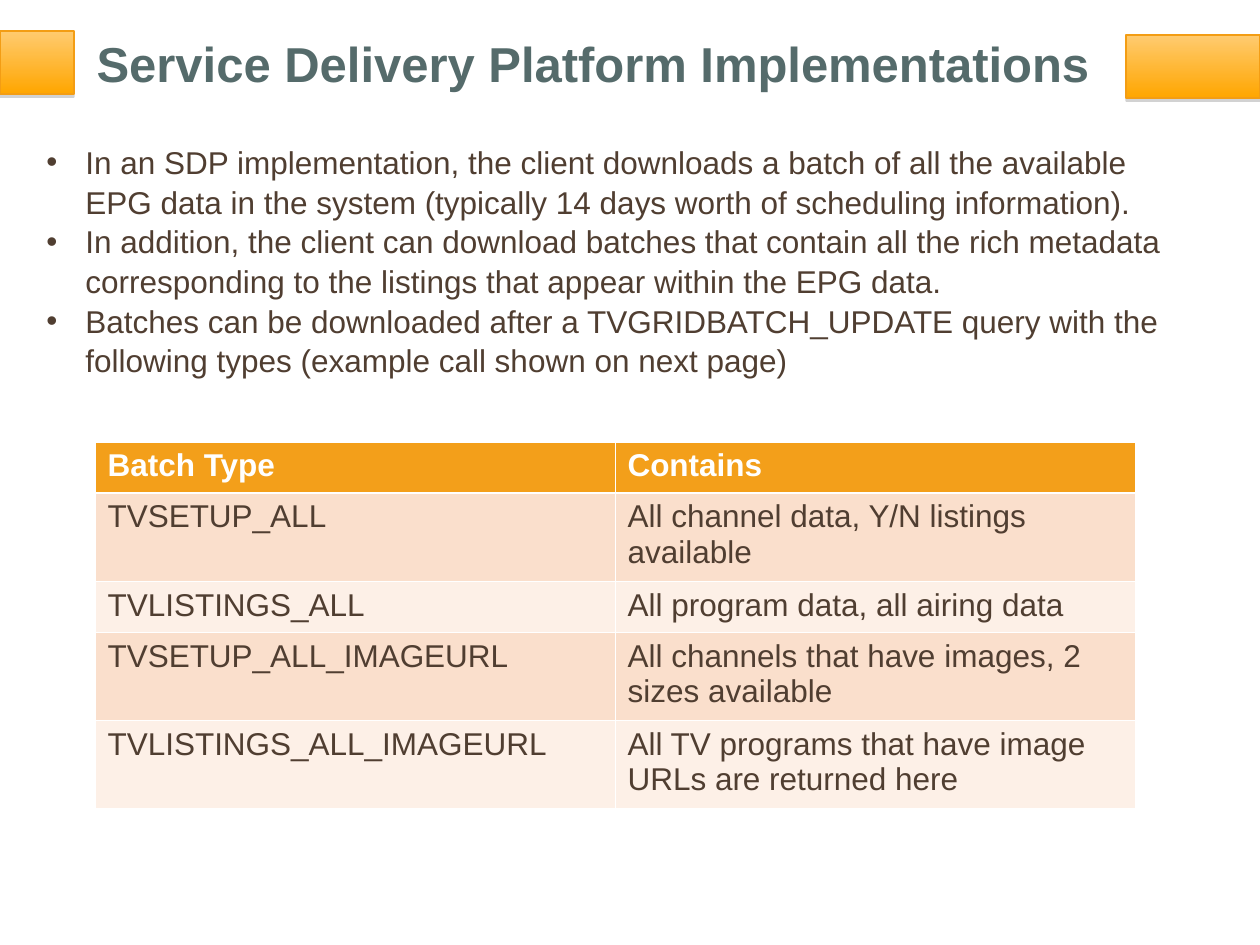
from dataclasses import dataclass

from lxml import etree
from pptx import Presentation
from pptx.dml.color import RGBColor
from pptx.enum.shapes import MSO_SHAPE
from pptx.enum.text import MSO_ANCHOR, MSO_AUTO_SIZE, PP_ALIGN
from pptx.oxml import parse_xml
from pptx.oxml.ns import nsdecls, qn
from pptx.util import Emu, Inches, Pt

PX_PER_INCH = 126
RECTANGLE = MSO_SHAPE.RECTANGLE
TOP = MSO_ANCHOR.TOP
NO_AUTOFIT = MSO_AUTO_SIZE.NONE
LEFT = PP_ALIGN.LEFT


@dataclass(frozen=True)
class Theme:
    font: str = "Arial"
    title_size: int = 28
    body_size: int = 18
    title: str = "556B6B"
    body: str = "503E31"
    white: str = "FFFFFF"
    header: str = "F39F1A"
    bands: tuple = ("FADFCC", "FDF0E7")
    accent_line: str = "F39D14"
    accent_gradient: tuple = ("FFCB70", "FFA600")
    shadow: str = "808080"
    thin: float = 0.45
    thick: float = 1.47


def px(length):
    return Emu(round(length * 914400 / PX_PER_INCH))


def assign(target, values):
    for name, value in values.items():
        setattr(target, name, value)


class SlideBuilder:
    def __init__(self, slide, theme):
        self.slide = slide
        self.theme = theme

    def add_text(self, paragraph, text, size, color, bold=False):
        run = paragraph.add_run()
        run.text = text
        assign(run.font, {"name": self.theme.font, "size": Pt(size), "bold": bold})
        run.font.color.rgb = RGBColor.from_string(color)

    def title(self, text, left, top, width, height):
        heading = self.slide.shapes.title
        assign(heading, {"left": px(left), "top": px(top),
                         "width": px(width), "height": px(height)})
        frame = heading.text_frame
        assign(frame, {"vertical_anchor": TOP, "auto_size": NO_AUTOFIT, "word_wrap": True})
        paragraph = frame.paragraphs[0]
        paragraph.alignment = LEFT
        self.add_text(paragraph, text, self.theme.title_size, self.theme.title, True)

    def accent(self, left, top, width, height):
        block = self.slide.shapes.add_shape(
            RECTANGLE, px(left), px(top), px(width), px(height))
        block.fill.gradient()
        block.fill.gradient_angle = 270
        stops = zip(block.fill.gradient_stops, self.theme.accent_gradient)
        for position, (stop, color) in enumerate(stops):
            stop.position = position
            stop.color.rgb = RGBColor.from_string(color)
        block.line.color.rgb = RGBColor.from_string(self.theme.accent_line)
        block.line.width = Pt(0.75)
        block.shadow.inherit = False
        effects = block.element.spPr.find(qn("a:effectLst"))
        effects.append(parse_xml(
            f'<a:outerShdw {nsdecls("a")} blurRad="0" dist="{Pt(1.8)}" dir="5400000" '
            f'rotWithShape="0"><a:srgbClr val="{self.theme.shadow}">'
            '<a:alpha val="35000"/></a:srgbClr></a:outerShdw>'))

    def bullets(self, points, left, top, width, height):
        frame = self.slide.shapes.add_textbox(
            px(left), px(top), px(width), px(height)).text_frame
        frame.word_wrap = True
        for index, point in enumerate(points):
            paragraph = frame.add_paragraph() if index else frame.paragraphs[0]
            properties = paragraph._p.get_or_add_pPr()
            properties.set("marL", str(Inches(0.31)))
            properties.set("indent", str(-Inches(0.31)))
            color = etree.SubElement(properties, qn("a:buClr"))
            etree.SubElement(color, qn("a:srgbClr"), val=self.theme.body)
            etree.SubElement(properties, qn("a:buFont"), typeface=self.theme.font)
            etree.SubElement(properties, qn("a:buChar"), char="•")
            paragraph.line_spacing = 1.05
            self.add_text(paragraph, point, self.theme.body_size, self.theme.body)

    def borders(self, cell, widths):
        properties = cell._tc.get_or_add_tcPr()
        for side, width in widths.items():
            line = etree.SubElement(properties, qn(f"a:ln{side}"), w=str(Pt(width)))
            fill = etree.SubElement(line, qn("a:solidFill"))
            etree.SubElement(fill, qn("a:srgbClr"), val=self.theme.white)

    def table(self, records, left, top, column_width, row_heights):
        theme = self.theme
        columns = len(records[0])
        grid = self.slide.shapes.add_table(
            len(records), columns, px(left), px(top),
            px(column_width * columns), px(sum(row_heights))).table
        for column in grid.columns:
            column.width = px(column_width)
        for row, (record, height) in enumerate(zip(records, row_heights)):
            grid.rows[row].height = px(height)
            is_header = row == 0
            background = theme.header if is_header else theme.bands[(row - 1) % 2]
            color = theme.white if is_header else theme.body
            widths = {"L": theme.thin, "R": theme.thin,
                      "T": theme.thick if row == 1 else theme.thin,
                      "B": theme.thick if is_header else theme.thin}
            for column, text in enumerate(record):
                cell = grid.cell(row, column)
                self.borders(cell, widths)
                cell.fill.solid()
                cell.fill.fore_color.rgb = RGBColor.from_string(background)
                self.add_text(cell.text_frame.paragraphs[0], text,
                              theme.body_size, color, is_header)


def main():
    presentation = Presentation()
    presentation.slide_width = Inches(10)
    presentation.slide_height = Inches(7.5)
    slide = presentation.slides.add_slide(presentation.slide_layouts[5])
    builder = SlideBuilder(slide, Theme())

    builder.title("Service Delivery Platform Implementations", 84, 27, 1142, 158)
    builder.accent(1126, 35, 134, 63)
    builder.bullets([
        "In an SDP implementation, the client downloads a batch of all the available "
        "EPG data in the system (typically 14 days worth of scheduling information).",
        "In addition, the client can download batches that contain all the rich metadata "
        "corresponding to the listings that appear within the EPG data.",
        "Batches can be downloaded after a TVGRIDBATCH_UPDATE query with the "
        "following types (example call shown on next page)",
    ], 34, 135, 1160, 239)
    builder.accent(0, 31, 74, 63)
    builder.table([
        ("Batch Type", "Contains"),
        ("TVSETUP_ALL", "All channel data, Y/N listings available"),
        ("TVLISTINGS_ALL", "All program data, all airing data"),
        ("TVSETUP_ALL_IMAGEURL", "All channels that have images, 2 sizes available"),
        ("TVLISTINGS_ALL_IMAGEURL", "All TV programs that have image URLs are returned here"),
    ], 95, 442, 520, (51, 88, 51, 88, 88))

    presentation.save("out.pptx")


if __name__ == "__main__":
    main()
